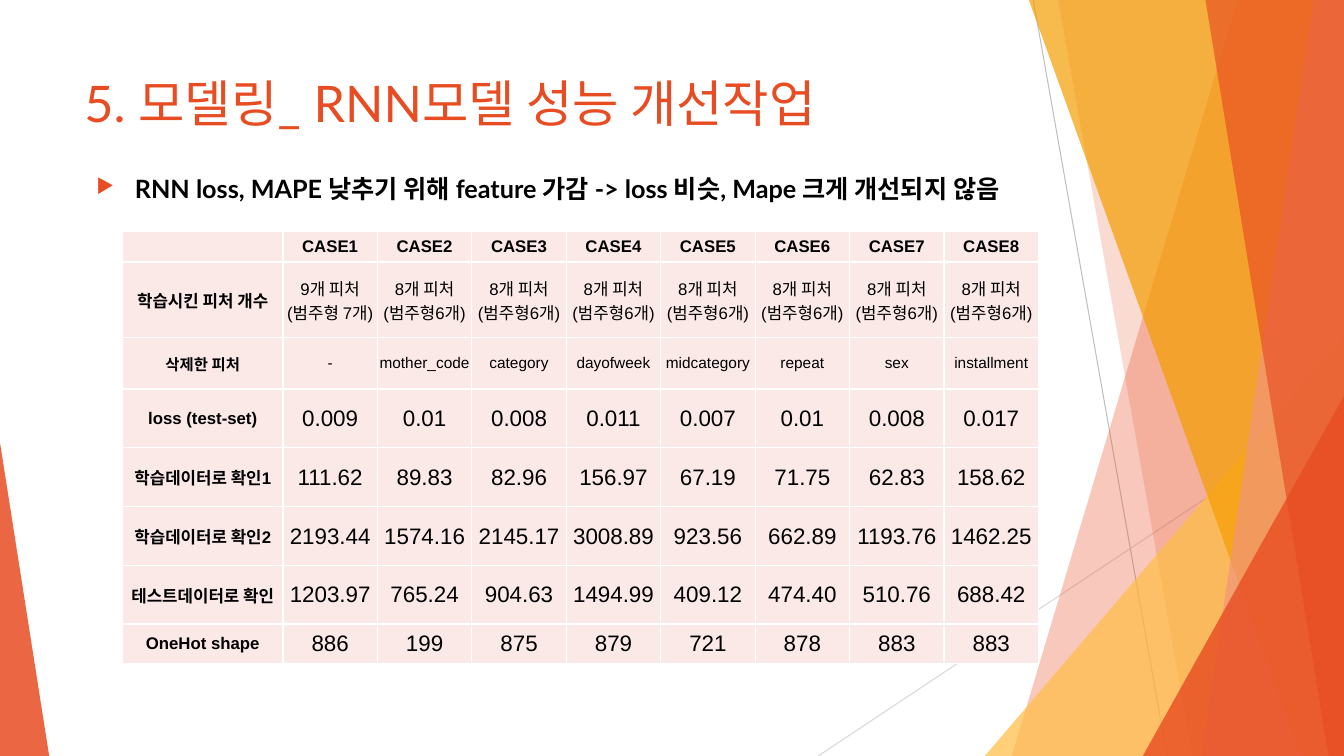
from lxml.etree import SubElement
from pptx import Presentation
from pptx.dml.color import RGBColor
from pptx.enum.shapes import MSO_CONNECTOR, MSO_SHAPE
from pptx.enum.text import MSO_ANCHOR, PP_ALIGN
from pptx.oxml.ns import qn
from pptx.util import Cm, Pt

COLORS = {
    "accent": "E84C22", "amber": "FFBD47", "orange": "F49D00", "salmon": "F1947A",
    "gray": "BFBFBF", "light_gray": "D9D9D9", "cell": "FBE9E8",
    "white": "FFFFFF", "black": "000000",
}
SLIDE_WIDTH, SLIDE_HEIGHT = 33.87, 19.05
TITLE = "5. 모델링_ RNN모델 성능 개선작업"
MESSAGE = "RNN loss, MAPE 낮추기 위해 feature 가감 -> loss 비슷, Mape 크게 개선되지 않음"

GUIDE_LINES = [
    (26.04, 0, 29.41, SLIDE_HEIGHT, "gray"),
    (SLIDE_WIDTH, 10.24, 20.62, SLIDE_HEIGHT, "light_gray"),
]
BACK_BANDS = [(31.19, 25.5, "accent", 30), (26.67, 30.05, "accent", 20)]
FRONT_BANDS = [
    (25.93, 32.79, "orange", 70),
    (33.1, 30.28, "salmon", 70),
    (30.38, 33.48, "accent", 65),
]
AMBER_TRIANGLE = (24.82, 8.46, 9.05, 10.59, 1, "amber", 72)
CORNER_TRIANGLES = [
    (28.8, 9.98, 5.07, 9.07, 1, "accent", 80),
    (0, 11.15, 1.24, 7.9, 0, "accent", 85),
]

TABLE_LEFT, TABLE_TOP = 3.09, 5.82
LABEL_WIDTH, CASE_WIDTH = 4.04, 2.38
CASES = [f"CASE{number}" for number in range(1, 9)]
FEATURE_COUNTS = ["9개 피처\n(범주형 7개)"] + ["8개 피처\n(범주형6개)"] * 7
REMOVED = ["-", "mother_code", "category", "dayofweek", "midcategory", "repeat", "sex", "installment"]
ROWS = [
    ("", CASES, 0.75, 12, 12),
    ("학습시킨 피처 개수", FEATURE_COUNTS, 1.9, 12, 12),
    ("삭제한 피처", REMOVED, 1.3, 11, 11),
    ("loss (test-set)", ["0.009", "0.01", "0.008", "0.011", "0.007", "0.01", "0.008", "0.017"], 1.48, 12, 16),
    ("학습데이터로 확인1", ["111.62", "89.83", "82.96", "156.97", "67.19", "71.75", "62.83", "158.62"], 1.48, 12, 16),
    ("학습데이터로 확인2", ["2193.44", "1574.16", "2145.17", "3008.89", "923.56", "662.89", "1193.76", "1462.25"],
     1.48, 12, 16),
    ("테스트데이터로 확인", ["1203.97", "765.24", "904.63", "1494.99", "409.12", "474.40", "510.76", "688.42"],
     1.48, 12, 16),
    ("OneHot shape", ["886", "199", "875", "879", "721", "878", "883", "883"], 0.99, 12, 16),
]


def color(name):
    return RGBColor.from_string(COLORS[name])


def paint(shape, name, opacity):
    shape.shadow.inherit = False
    shape.fill.solid()
    shape.fill.fore_color.rgb = color(name)
    shape.line.fill.background()
    for tint in shape._element.iter(qn("a:srgbClr")):
        SubElement(tint, qn("a:alpha"), val=str(opacity * 1000))


def add_guide_line(page, x1, y1, x2, y2, name):
    line = page.shapes.add_connector(MSO_CONNECTOR.STRAIGHT, Cm(x1), Cm(y1), Cm(x2), Cm(y2))
    line.line.color.rgb = color(name)
    line.line.width = Pt(0.75)
    SubElement(line._element.spPr, qn("a:effectLst"))


def add_band(page, top_x, bottom_x, name, opacity):
    builder = page.shapes.build_freeform(Cm(top_x), Cm(0))
    corners = [(SLIDE_WIDTH, 0), (SLIDE_WIDTH, SLIDE_HEIGHT), (bottom_x, SLIDE_HEIGHT)]
    builder.add_line_segments([(Cm(x), Cm(y)) for x, y in corners], close=True)
    paint(builder.convert_to_shape(), name, opacity)


def add_triangle(page, left, top, width, height, apex, name, opacity):
    triangle = page.shapes.add_shape(
        MSO_SHAPE.ISOSCELES_TRIANGLE, Cm(left), Cm(top), Cm(width), Cm(height))
    triangle.adjustments[0] = apex
    paint(triangle, name, opacity)


def add_span(para, text, size, font, name, bold=False):
    span = para.add_run()
    span.text = text
    span.font.size = Pt(size)
    span.font.name = font
    span.font.bold = bold
    span.font.color.rgb = color(name)


def add_box(page, left, top, width, height):
    box = page.shapes.add_textbox(Cm(left), Cm(top), Cm(width), Cm(height))
    box.text_frame.word_wrap = True
    return box.text_frame.paragraphs[0]


def add_bullet(para):
    settings = para._p.get_or_add_pPr()
    settings.set("marL", str(Cm(0.97)))
    settings.set("indent", str(-Cm(0.97)))
    tint = SubElement(settings, qn("a:buClr"))
    SubElement(tint, qn("a:srgbClr"), val=COLORS["accent"])
    SubElement(settings, qn("a:buSzPct"), val="80000")
    SubElement(settings, qn("a:buChar"), char="▶")


def fill_cell(cell, text, size, bold):
    cell.margin_left = cell.margin_right = cell.margin_top = Cm(0.02)
    cell.margin_bottom = 0
    cell.vertical_anchor = MSO_ANCHOR.MIDDLE
    para = cell.text_frame.paragraphs[0]
    para.alignment = PP_ALIGN.CENTER
    for index, line in enumerate(text.split("\n")):
        if index:
            para.add_line_break()
        add_span(para, line, size, "Arial", "black", bold)
    for side in ("a:lnL", "a:lnR", "a:lnT", "a:lnB"):
        border = SubElement(cell._tc.get_or_add_tcPr(), qn(side), w=str(Pt(1)))
        solid = SubElement(border, qn("a:solidFill"))
        SubElement(solid, qn("a:srgbClr"), val=COLORS["white"])
    cell.fill.solid()
    cell.fill.fore_color.rgb = color("cell")


def add_results(page):
    widths = [LABEL_WIDTH] + [CASE_WIDTH] * len(CASES)
    height = sum(row[2] for row in ROWS)
    table = page.shapes.add_table(
        len(ROWS), len(widths), Cm(TABLE_LEFT), Cm(TABLE_TOP), Cm(sum(widths)), Cm(height)).table
    table.first_row = table.horz_banding = False
    for column, width in zip(table.columns, widths):
        column.width = Cm(width)
    for row_index, (label, values, row_height, label_size, value_size) in enumerate(ROWS):
        table.rows[row_index].height = Cm(row_height)
        for column_index, text in enumerate([label] + values):
            is_label = column_index == 0
            size = label_size if is_label else value_size
            fill_cell(table.cell(row_index, column_index), text, size, is_label or row_index == 0)


def main():
    deck = Presentation()
    deck.slide_width, deck.slide_height = Cm(SLIDE_WIDTH), Cm(SLIDE_HEIGHT)
    page = deck.slides.add_slide(deck.slide_layouts[6])
    for line in GUIDE_LINES:
        add_guide_line(page, *line)
    for band in BACK_BANDS:
        add_band(page, *band)
    add_triangle(page, *AMBER_TRIANGLE)
    for band in FRONT_BANDS:
        add_band(page, *band)
    for triangle in CORNER_TRIANGLES:
        add_triangle(page, *triangle)
    add_span(add_box(page, 1.88, 1.7, 23.88, 3.66), TITLE, 36, "Lato", "accent")
    message = add_box(page, 2.18, 4.24, 27.91, 14.81)
    add_bullet(message)
    add_span(message, MESSAGE, 18, "Lato", "black", True)
    add_results(page)
    deck.save("out.pptx")


if __name__ == "__main__":
    main()
